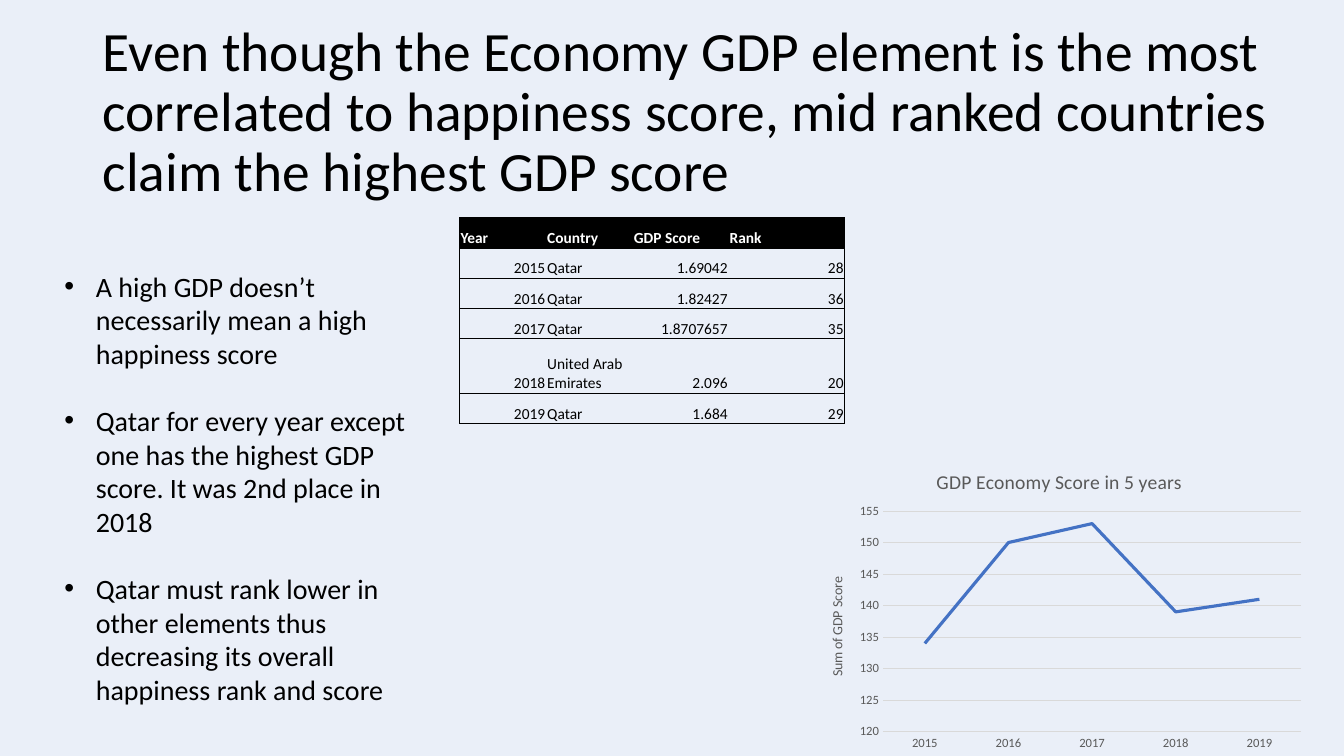
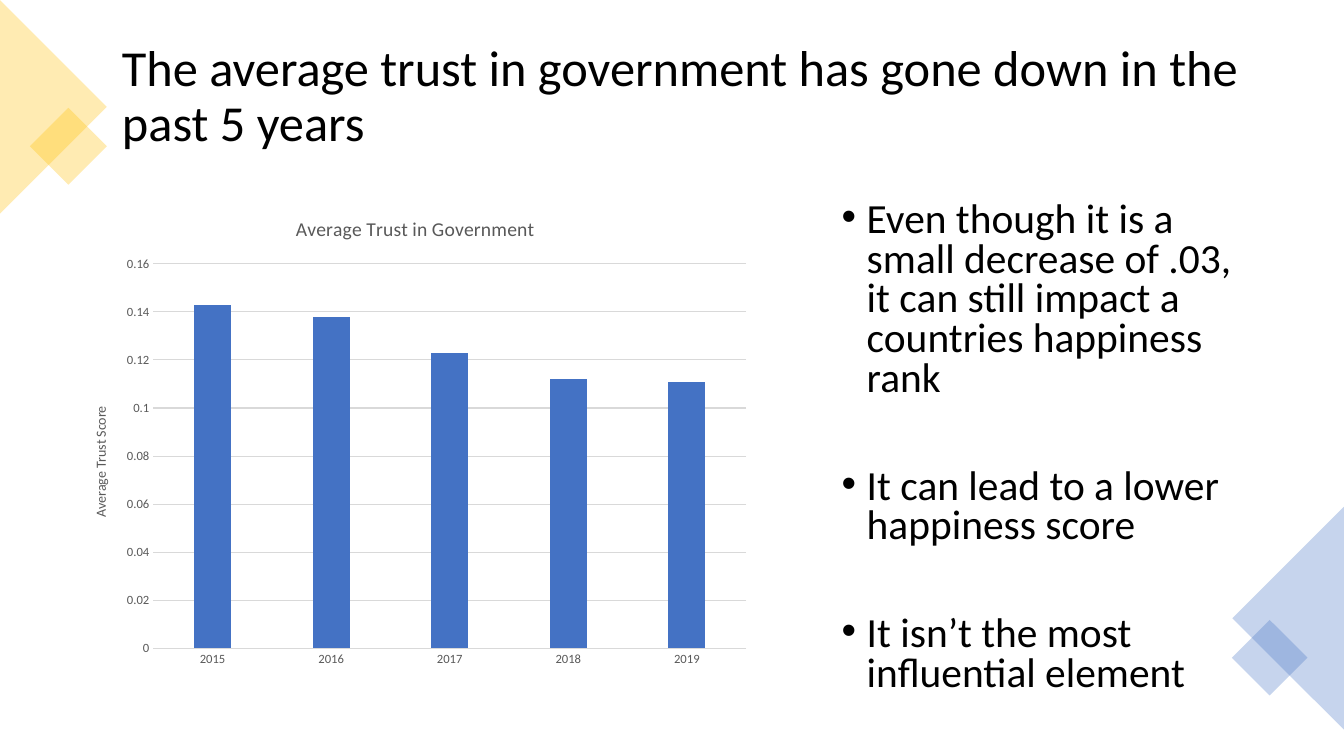
from dataclasses import dataclass
from typing import NamedTuple, Optional

from lxml.etree import SubElement
from pptx import Presentation
from pptx.chart.chart import Chart
from pptx.chart.data import CategoryChartData
from pptx.dml.color import RGBColor
from pptx.enum.chart import XL_CHART_TYPE, XL_TICK_MARK
from pptx.enum.shapes import MSO_SHAPE
from pptx.enum.text import MSO_ANCHOR, MSO_AUTO_SIZE, PP_ALIGN
from pptx.oxml import parse_xml
from pptx.oxml.ns import nsdecls, qn
from pptx.slide import Slide
from pptx.table import _Cell
from pptx.text.text import Font
from pptx.util import Pt

FONT = "Calibri"
BLACK = RGBColor(0x00, 0x00, 0x00)
WHITE = RGBColor(0xFF, 0xFF, 0xFF)
PALE_BLUE = RGBColor(0xEA, 0xEF, 0xF8)
BLUE = RGBColor(0x44, 0x72, 0xC4)
GOLD = RGBColor(0xFF, 0xC0, 0x00)
CHART_TEXT = RGBColor(0x59, 0x59, 0x59)
GRID = RGBColor(0xD9, 0xD9, 0xD9)

YEARS = ("2015", "2016", "2017", "2018", "2019")
DECORATION_OPACITY = 30


class Box(NamedTuple):
    left: float
    top: float
    width: float
    height: float

    def lengths(self) -> tuple[Pt, ...]:
        return tuple(Pt(value) for value in self)


@dataclass(frozen=True)
class BulletList:
    box: Box
    size: float
    indent: float
    line_spacing: float
    gap: float
    items: tuple[str, ...]


@dataclass(frozen=True)
class YearChart:
    kind: XL_CHART_TYPE
    box: Box
    plot: Box  # fractions of the chart area
    title: str
    axis_title: str
    values: tuple[float, ...]
    minimum: float
    maximum: float
    step: float


@dataclass(frozen=True)
class Decoration:
    preset: MSO_SHAPE
    box: Box
    rotation: float
    color: RGBColor


GDP_POINTS = BulletList(
    Box(38.9, 188.6, 259.2, 322.6), 20, 22.5, 1, 24,
    (
        "A high GDP doesn’t necessarily mean a high happiness score",
        "Qatar for every year except one has the highest GDP score. It was 2nd place in 2018",
        "Qatar must rank lower in other elements thus decreasing its overall "
        "happiness rank and score",
    ),
)
TRUST_POINTS = BulletList(
    Box(594, 140.4, 315.4, 392.4), 29.6, 18, 0.8, 48.5,
    (
        "Even though it is a small decrease of .03, it can still impact a "
        "countries happiness rank",
        "It can lead to a lower happiness score",
        "It isn’t the most influential element",
    ),
)
GDP_CHART = YearChart(
    XL_CHART_TYPE.LINE, Box(576.7, 324, 360, 216), Box(0.15, 0.19, 0.83, 0.73),
    "GDP Economy Score in 5 years", "Sum of GDP Score",
    (134, 150, 153, 139, 141), 120, 155, 5,
)
TRUST_CHART = YearChart(
    XL_CHART_TYPE.COLUMN_CLUSTERED, Box(50.4, 140.4, 492.5, 343.4),
    Box(0.12, 0.14, 0.86, 0.8),
    "Average Trust in Government", "Average Trust Score",
    (0.143, 0.138, 0.123, 0.112, 0.111), 0, 0.16, 0.02,
)
DECORATIONS = (
    Decoration(MSO_SHAPE.RECTANGLE, Box(29.5, 85, 38.9, 38.9), 315, GOLD),
    Decoration(MSO_SHAPE.ISOSCELES_TRIANGLE, Box(-38.2, 38.2, 152.6, 76.3), 90, GOLD),
    Decoration(MSO_SHAPE.ISOSCELES_TRIANGLE, Box(840.6, 401.8, 159.1, 79.6), 270, BLUE),
    Decoration(MSO_SHAPE.RECTANGLE, Box(887.8, 450.7, 38.2, 38.2), 45, BLUE),
)

TABLE_BOX = Box(328.3, 155.5, 275, 146.9)
COLUMN_WIDTHS = (61.9, 61.9, 68.4, 82.8)
ROW_HEIGHTS = (21.6, 21.6, 21.6, 21.6, 38.9, 21.6)
RIGHT_ALIGNED_COLUMNS = (0, 2, 3)
TABLE_ROWS = (
    ("Year", "Country", "GDP Score", "Rank"),
    ("2015", "Qatar", "1.69042", "28"),
    ("2016", "Qatar", "1.82427", "36"),
    ("2017", "Qatar", "1.8707657", "35"),
    ("2018", "United Arab Emirates", "2.096", "20"),
    ("2019", "Qatar", "1.684", "29"),
)


def style_font(font: Font, size: float, color: RGBColor, bold: bool = False) -> None:
    font.name = FONT
    font.size = Pt(size)
    font.bold = bold
    font.color.rgb = color


def add_titled_slide(
    presentation: Presentation, title: str, box: Box, size: float, background: RGBColor
) -> Slide:
    slide = presentation.slides.add_slide(presentation.slide_layouts[5])
    slide.background.fill.solid()
    slide.background.fill.fore_color.rgb = background
    shape = slide.shapes.title
    shape.left, shape.top, shape.width, shape.height = box.lengths()
    frame = shape.text_frame
    frame.auto_size = MSO_AUTO_SIZE.NONE
    frame.vertical_anchor = MSO_ANCHOR.MIDDLE
    paragraph = frame.paragraphs[0]
    paragraph.alignment = PP_ALIGN.LEFT
    paragraph.line_spacing = 0.9
    run = paragraph.add_run()
    run.text = title
    style_font(run.font, size, BLACK)
    return slide


def add_bullets(slide: Slide, bullets: BulletList) -> None:
    frame = slide.shapes.add_textbox(*bullets.box.lengths()).text_frame
    frame.word_wrap = True
    for index, item in enumerate(bullets.items):
        paragraph = frame.paragraphs[0] if index == 0 else frame.add_paragraph()
        properties = paragraph._p.get_or_add_pPr()
        properties.set("marL", str(Pt(bullets.indent)))
        properties.set("indent", str(-Pt(bullets.indent)))
        SubElement(properties, qn("a:buFont"), typeface="Arial")
        SubElement(properties, qn("a:buChar"), char="•")
        paragraph.line_spacing = bullets.line_spacing
        if index:
            paragraph.space_before = Pt(bullets.gap)
        run = paragraph.add_run()
        run.text = item
        style_font(run.font, bullets.size, BLACK)


def place_plot(chart: Chart, plot: Box) -> None:
    """Fix the inner plot area at the given fractions of the chart."""
    area = chart._chartSpace.chart.plotArea
    for layout in area.findall(qn("c:layout")):
        area.remove(layout)
    fractions = "".join(
        f'<c:{tag} val="{value}"/>' for tag, value in zip("xywh", plot)
    )
    area.insert(0, parse_xml(
        f'<c:layout {nsdecls("c")}><c:manualLayout><c:layoutTarget val="inner"/>'
        f'<c:xMode val="edge"/><c:yMode val="edge"/>{fractions}'
        "</c:manualLayout></c:layout>"
    ))


def add_year_chart(slide: Slide, details: YearChart) -> None:
    data = CategoryChartData()
    data.categories = YEARS
    data.add_series(details.axis_title, details.values)
    chart = slide.shapes.add_chart(details.kind, *details.box.lengths(), data).chart
    style_font(chart.font, 10, BLACK)
    chart.has_legend = False
    chart.has_title = True
    value_axis, category_axis = chart.value_axis, chart.category_axis
    value_axis.has_title = True
    for owner, text, size in (
        (chart.chart_title, details.title, 14),
        (value_axis.axis_title, details.axis_title, 10),
    ):
        run = owner.text_frame.paragraphs[0].add_run()
        run.text = text
        style_font(run.font, size, CHART_TEXT)

    for axis in (category_axis, value_axis):
        axis.major_tick_mark = axis.minor_tick_mark = XL_TICK_MARK.NONE
        style_font(axis.tick_labels.font, 9, CHART_TEXT)
    value_axis.minimum_scale = details.minimum
    value_axis.maximum_scale = details.maximum
    value_axis.major_unit = details.step
    value_axis.format.line.fill.background()
    for line in (category_axis.format.line, value_axis.major_gridlines.format.line):
        line.color.rgb = GRID
        line.width = Pt(0.75)

    plot = chart.plots[0]
    plot.vary_by_categories = False
    series = plot.series[0]
    if details.kind == XL_CHART_TYPE.LINE:
        series.smooth = False
        series.format.line.color.rgb = BLUE
        series.format.line.width = Pt(2.25)
    else:
        plot.gap_width = 219
        plot.overlap = -27
        series.format.fill.solid()
        series.format.fill.fore_color.rgb = BLUE
    place_plot(chart, details.plot)


def set_border(cell: _Cell, index: int, side: str, color: Optional[RGBColor]) -> None:
    """Draw one side of a cell, or clear it when no color is given."""
    fill = (
        f'<a:solidFill><a:srgbClr val="{color}"/></a:solidFill>' if color else "<a:noFill/>"
    )
    cell._tc.get_or_add_tcPr().insert(index, parse_xml(
        f'<a:ln{side} {nsdecls("a")} w="{Pt(0.5)}">{fill}</a:ln{side}>'
    ))


def add_gdp_table(slide: Slide) -> None:
    table = slide.shapes.add_table(
        len(TABLE_ROWS), len(COLUMN_WIDTHS), *TABLE_BOX.lengths()
    ).table
    table.first_row = table.horz_banding = False
    for column, width in zip(table.columns, COLUMN_WIDTHS):
        column.width = Pt(width)
    last_column = len(COLUMN_WIDTHS) - 1
    for row_index, (values, height) in enumerate(zip(TABLE_ROWS, ROW_HEIGHTS)):
        table.rows[row_index].height = Pt(height)
        is_header = row_index == 0
        for column_index, value in enumerate(values):
            cell = table.cell(row_index, column_index)
            cell.margin_left = cell.margin_right = cell.margin_top = Pt(0.7)
            cell.margin_bottom = Pt(0)
            cell.vertical_anchor = MSO_ANCHOR.BOTTOM
            if is_header:
                cell.fill.solid()
                cell.fill.fore_color.rgb = BLACK
            else:
                cell.fill.background()
            sides = {
                "L": BLACK if column_index == 0 else None,
                "R": BLACK if column_index == last_column else None,
                "T": BLACK,
                "B": BLACK,
            }
            for index, (side, color) in enumerate(sides.items()):
                set_border(cell, index, side, color)
            paragraph = cell.text_frame.paragraphs[0]
            if not is_header and column_index in RIGHT_ALIGNED_COLUMNS:
                paragraph.alignment = PP_ALIGN.RIGHT
            run = paragraph.add_run()
            run.text = value
            style_font(run.font, 11, WHITE if is_header else BLACK, is_header)


def add_decoration(slide: Slide, decoration: Decoration) -> None:
    shape = slide.shapes.add_shape(decoration.preset, *decoration.box.lengths())
    shape.rotation = decoration.rotation
    shape.shadow.inherit = False
    shape.line.fill.background()
    shape.fill.solid()
    shape.fill.fore_color.rgb = decoration.color
    color = shape._element.spPr.find(qn("a:solidFill"))[0]
    SubElement(color, qn("a:alpha"), val=str(DECORATION_OPACITY * 1000))


def main() -> None:
    presentation = Presentation()
    presentation.slide_width, presentation.slide_height = Pt(960), Pt(540)

    gdp_slide = add_titled_slide(
        presentation,
        "Even though the Economy GDP element is the most correlated to happiness "
        "score, mid ranked countries claim the highest GDP score",
        Box(66.2, 28.8, 864, 104.4), 39.6, PALE_BLUE,
    )
    add_bullets(gdp_slide, GDP_POINTS)
    add_year_chart(gdp_slide, GDP_CHART)
    add_gdp_table(gdp_slide)

    trust_slide = add_titled_slide(
        presentation,
        "The average trust in government has gone down in the past 5 years",
        Box(79.9, 25.2, 859, 89.3), 36, WHITE,
    )
    for decoration in DECORATIONS:
        add_decoration(trust_slide, decoration)
    add_bullets(trust_slide, TRUST_POINTS)
    add_year_chart(trust_slide, TRUST_CHART)

    presentation.save("out.pptx")


if __name__ == "__main__":
    main()
